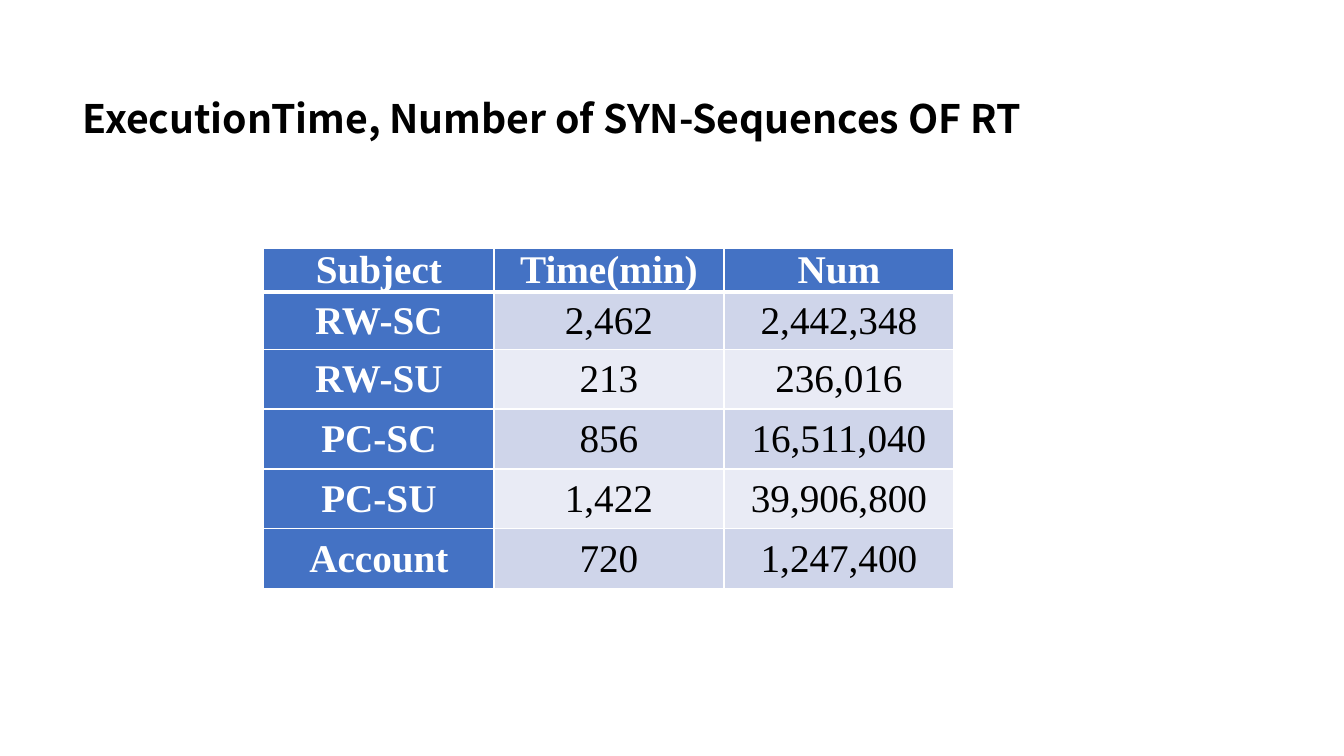
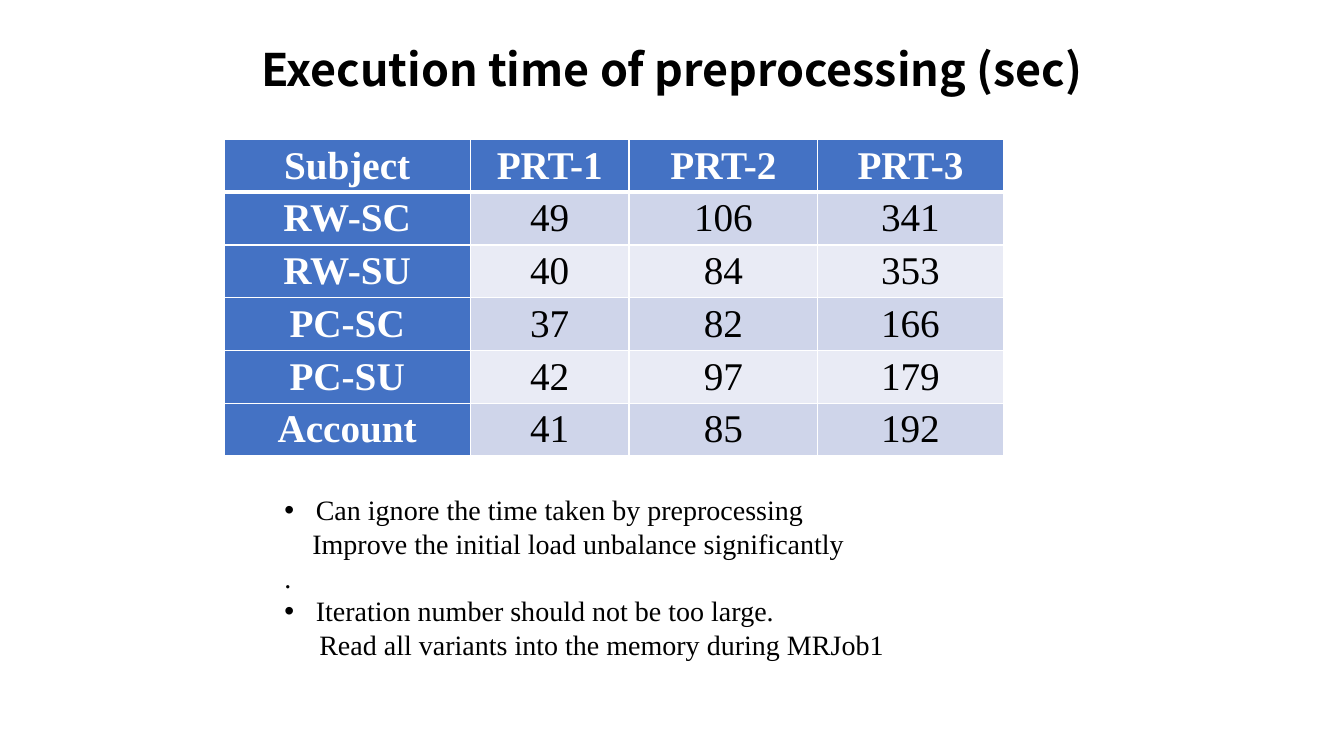
from pptx import Presentation
from pptx.dml.color import RGBColor
from pptx.enum.text import MSO_ANCHOR as ANCHOR, MSO_AUTO_SIZE as AUTO, PP_ALIGN as ALIGN
from pptx.oxml.ns import qn
from pptx.util import Pt
from lxml.etree import SubElement

COLORS = {"text": "000000", "white": "FFFFFF", "head": "4472C4",
          "odd": "CFD5EA", "even": "E9EBF5"}
TITLE_FONT, BODY_FONT = "Noto Sans CJK SC", "Times New Roman"
SUBJECTS = ["RW-SC", "RW-SU", "PC-SC", "PC-SU", "Account"]


def write(p, text, font=BODY_FONT, size=28, color="text", bold=False,
          align=ALIGN.LEFT, spacing=None, margin=0, bullet=False):
    p.alignment = align
    if spacing:
        p.line_spacing = spacing
    if margin:
        pPr = p._p.get_or_add_pPr()
        pPr.set("marL", str(Pt(margin)))
        pPr.set("indent", str(-Pt(margin) if bullet else 0))
    if bullet:
        SubElement(pPr, qn("a:buFont"), typeface="Arial")
        SubElement(pPr, qn("a:buChar"), char="•")
    r = p.add_run()
    r.text = text
    r.font.name, r.font.size, r.font.bold = font, Pt(size), bold
    r.font.color.rgb = RGBColor.from_string(COLORS[color])


def set_borders(cell, bottom):
    tcPr = cell._tc.get_or_add_tcPr()
    for side, width in (("L", 1), ("R", 1), ("T", 1), ("B", bottom)):
        ln = SubElement(tcPr, qn("a:ln" + side), w=str(Pt(width)))
        fill = SubElement(ln, qn("a:solidFill"))
        SubElement(fill, qn("a:srgbClr"), val=COLORS["white"])


prs = Presentation()
prs.slide_width, prs.slide_height = Pt(960), Pt(540)

# Contents of the slides: title, then table
slides = [
    dict(title="ExecutionTime, Number of SYN-Sequences OF RT", size=28,
         box=(52, 67.5, 828, 80), align=ALIGN.LEFT, anchor=ANCHOR.TOP,
         origin=(188.5, 177.8), widths=[164.3] * 3,
         heights=[30, 40.6] + [42.8] * 4,
         header=["Subject", "Time(min)", "Num"],
         values=[["2,462", "2,442,348"], ["213", "236,016"], ["856", "16,511,040"],
                 ["1,422", "39,906,800"], ["720", "1,247,400"]]),
    dict(title="Execution time of preprocessing (sec)", size=32,
         box=(66, 29, 828, 44.6), align=ALIGN.CENTER, anchor=ANCHOR.MIDDLE,
         origin=(160, 99.6), widths=[176, 113.4, 134.8, 132.4],
         heights=[37.7] * 6,
         header=["Subject", "PRT-1", "PRT-2", "PRT-3"],
         values=[["49", "106", "341"], ["40", "84", "353"], ["37", "82", "166"],
                 ["42", "97", "179"], ["41", "85", "192"]]),
]

for spec_ in slides:
    s = prs.slides.add_slide(prs.slide_layouts[5])

    # Title
    title = s.shapes.title
    title.left, title.top, title.width, title.height = map(Pt, spec_["box"])
    tf = title.text_frame
    tf.auto_size, tf.word_wrap = AUTO.NONE, True
    tf.vertical_anchor = spec_["anchor"]
    write(tf.paragraphs[0], spec_["title"], font=TITLE_FONT, size=spec_["size"],
          bold=True, align=spec_["align"], spacing=0.9)

    # Table
    widths, heights = spec_["widths"], spec_["heights"]
    rows = [spec_["header"]] + [[name] + vals for name, vals in zip(SUBJECTS, spec_["values"])]
    table = s.shapes.add_table(len(rows), len(widths), *map(Pt, spec_["origin"]),
                               Pt(sum(widths)), Pt(sum(heights))).table
    table.first_col = True
    for col, width in zip(table.columns, widths):
        col.width = Pt(width)
    for i, row in enumerate(rows):
        table.rows[i].height = Pt(heights[i])
        for j, text in enumerate(row):
            cell = table.cell(i, j)
            is_head = i == 0 or j == 0
            set_borders(cell, 3 if i == 0 else 1)
            cell.fill.solid()
            fill = "head" if is_head else "odd" if i % 2 else "even"
            cell.fill.fore_color.rgb = RGBColor.from_string(COLORS[fill])
            cell.vertical_anchor = ANCHOR.MIDDLE
            cell.margin_left = cell.margin_right = Pt(5)
            cell.margin_top = cell.margin_bottom = 0
            write(cell.text_frame.paragraphs[0], text, bold=is_head,
                  color="white" if is_head else "text", align=ALIGN.CENTER)

# Remarks below the last table
remarks = [
    ("Can ignore the time taken by preprocessing", 22.5, True),
    ("Improve the initial load unbalance significantly", 20, False),
    (".", 0, False),
    ("Iteration number should not be too large.", 22.5, True),
    ("Read all variants into the memory during MRJob1", 25, False),
]
tf = s.shapes.add_textbox(Pt(196), Pt(348.5), Pt(500), Pt(128)).text_frame
tf.word_wrap = True
for i, (text, margin, bullet) in enumerate(remarks):
    p = tf.add_paragraph() if i else tf.paragraphs[0]
    write(p, text, size=20, margin=margin, bullet=bullet)

prs.save("out.pptx")
